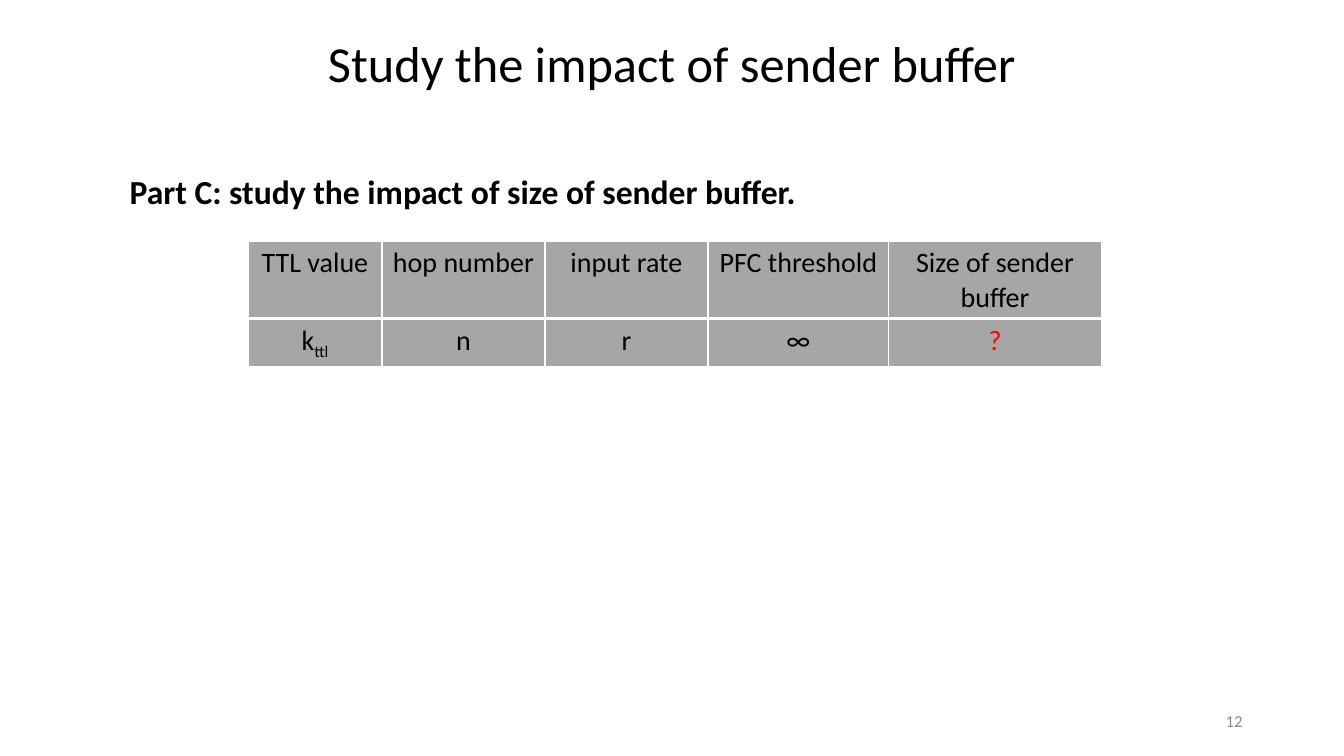
from lxml import etree
from pptx import Presentation
from pptx import util as u
from pptx.dml.color import RGBColor
from pptx.enum import text
from pptx.oxml import ns

COLORS = {"ink": "000000", "number": "8C8C8C", "unknown": "FF0000",
          "cell": "A6A6A6", "border": "FFFFFF"}
FONT = "Calibri"
LEFT, CENTER, RIGHT = text.PP_ALIGN.LEFT, text.PP_ALIGN.CENTER, text.PP_ALIGN.RIGHT
TOP, MIDDLE = text.MSO_ANCHOR.TOP, text.MSO_ANCHOR.MIDDLE

HEADINGS = ["TTL value", "hop number", "input rate", "PFC threshold",
            "Size of sender buffer"]
SETTINGS = ["k", "n", "r", "∞", "?"]
COLUMN_SHARES = [0.157, 0.191, 0.191, 0.212, 0.249]
ROW_SHARES = [0.63, 0.37]

deck = Presentation()
deck.slide_width, deck.slide_height = u.Inches(13.33), u.Inches(7.5)


def share_box(left, top, width, height):
    return (int(left * deck.slide_width), int(top * deck.slide_height),
            int(width * deck.slide_width), int(height * deck.slide_height))


def write(paragraph, wording, size=20, color="ink", bold=False, align=LEFT, baseline=0):
    paragraph.alignment = align
    run = paragraph.add_run()
    run.text = wording
    font = run.font
    font.name, font.size, font.bold = FONT, u.Pt(size), bold
    font.color.rgb = RGBColor.from_string(COLORS[color])
    if baseline:
        font._element.set("baseline", str(baseline * 1000))


def place_title(slide, box, wording):
    title = slide.shapes.title
    title.left, title.top, title.width, title.height = box
    title.text_frame.vertical_anchor = TOP
    write(title.text_frame.paragraphs[0], wording, size=36, align=CENTER)


def place_text(slide, box, wording, anchor=TOP, **style):
    frame = slide.shapes.add_textbox(*box).text_frame
    frame.word_wrap = True
    frame.vertical_anchor = anchor
    write(frame.paragraphs[0], wording, **style)


def set_borders(cell, widths):
    properties = cell._tc.get_or_add_tcPr()
    for position, (side, width) in enumerate(widths.items()):
        line = etree.Element(ns.qn(f"a:ln{side}"), w=str(u.Pt(width)))
        fill = etree.SubElement(line, ns.qn("a:solidFill"))
        etree.SubElement(fill, ns.qn("a:srgbClr"), val=COLORS["border"])
        properties.insert(position, line)


def place_settings_table(slide, box):
    table = slide.shapes.add_table(len(ROW_SHARES), len(COLUMN_SHARES), *box).table
    for column, share in zip(table.columns, COLUMN_SHARES):
        column.width = int(box[2] * share)
    for row, share in zip(table.rows, ROW_SHARES):
        row.height = int(box[3] * share)
    for row_index, wordings in enumerate([HEADINGS, SETTINGS]):
        is_heading = row_index == 0
        borders = {"L": 1, "R": 1, "T": 1 if is_heading else 3,
                   "B": 3 if is_heading else 1}
        for column_index, wording in enumerate(wordings):
            cell = table.cell(row_index, column_index)
            cell.fill.solid()
            cell.fill.fore_color.rgb = RGBColor.from_string(COLORS["cell"])
            set_borders(cell, borders)
            color = "unknown" if wording == "?" else "ink"
            write(cell.text_frame.paragraphs[0], wording, color=color, align=CENTER)
    ttl_cell = table.cell(1, 0)
    write(ttl_cell.text_frame.paragraphs[0], "ttl", align=CENTER, baseline=-25)


def build_buffer_slide():
    slide = deck.slides.add_slide(deck.slide_layouts.get_by_name("Title Only"))
    place_text(slide, share_box(0.707, 0.927, 0.225, 0.053), "12", anchor=MIDDLE,
               size=12, color="number", align=RIGHT)
    place_settings_table(slide, share_box(0.1845, 0.319, 0.635, 0.157))
    place_title(slide, share_box(0.152, 0.036, 0.696, 0.095),
                "Study the impact of sender buffer")
    place_text(slide, share_box(0.089, 0.22, 0.667, 0.067),
               "Part C: study the impact of size of sender buffer.", size=24, bold=True)


build_buffer_slide()
deck.save("out.pptx")
